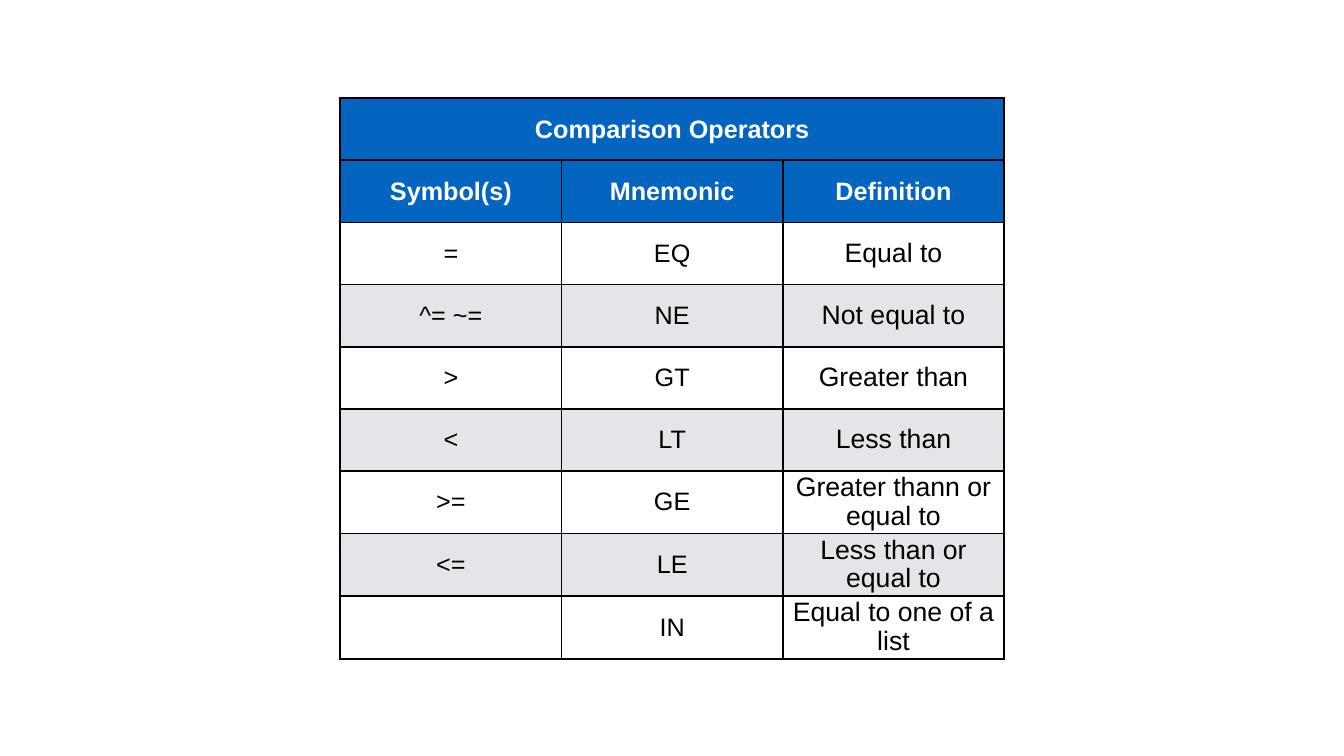
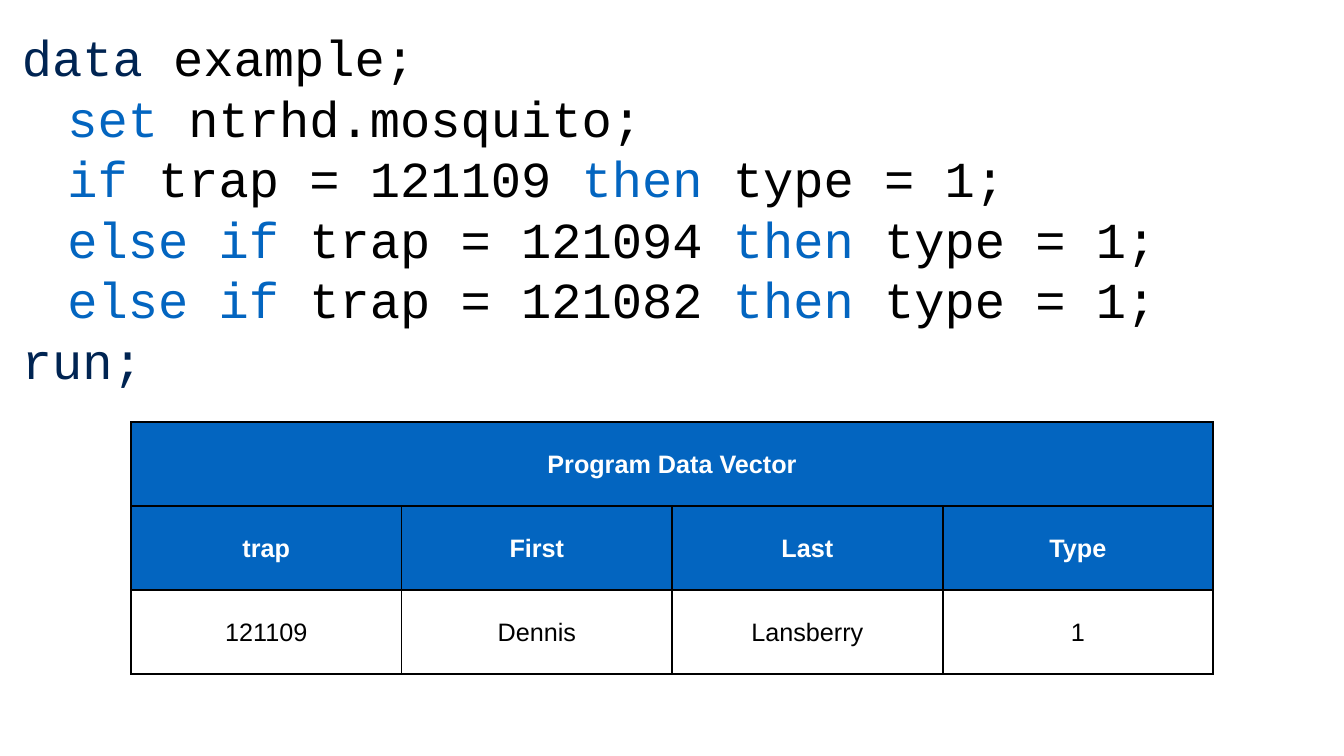
from dataclasses import dataclass

from lxml.etree import SubElement
from pptx import Presentation
from pptx.dml.color import RGBColor
from pptx.enum.text import MSO_ANCHOR, PP_ALIGN
from pptx.oxml.ns import qn
from pptx.util import Pt


# Shared colours, fonts and sizes
@dataclass(frozen=True)
class Theme:
    blue: str = "0365C0"
    navy: str = "002452"
    black: str = "000000"
    white: str = "FFFFFF"
    grey: str = "E3E5E8"
    sans: str = "Arial"
    mono: str = "Courier New"
    cell_size: float = 36
    definition_size: float = 38
    code_size: float = 72
    code_leading: float = 86.4
    code_indent: float = 65
    inset: float = 4
    border: float = 3


class Deck:
    """Holds the style and the current slide."""

    def __init__(self, theme):
        self.theme = theme
        self.prs = Presentation()
        self.prs.slide_width, self.prs.slide_height = Pt(1920), Pt(1080)
        self.s = None

    def slide(self):
        self.s = self.prs.slides.add_slide(self.prs.slide_layouts[6])
        fill = self.s.background.fill
        fill.solid()
        fill.fore_color.rgb = RGBColor.from_string(self.theme.white)

    def font(self, r, name, size, color, bold=False):
        r.font.name, r.font.size, r.font.bold = name, Pt(size), bold
        r.font.color.rgb = RGBColor.from_string(color)

    def code(self, left, top, width, height, lines):
        """Each line is (indent level, [(text, colour), ...])."""
        t = self.theme
        tf = self.s.shapes.add_textbox(Pt(left), Pt(top), Pt(width), Pt(height)).text_frame
        tf.word_wrap = True
        tf.margin_left = tf.margin_right = tf.margin_bottom = Pt(t.inset)
        tf.margin_top = Pt(10)
        for i, (level, parts) in enumerate(lines):
            p = tf.paragraphs[0] if i == 0 else tf.add_paragraph()
            p.line_spacing = Pt(t.code_leading)
            if level:
                pPr = p._p.get_or_add_pPr()
                pPr.set("marL", str(Pt(level * t.code_indent)))
                pPr.set("indent", "0")
            for text, color in parts:
                r = p.add_run()
                r.text = text
                self.font(r, t.mono, t.code_size, color)

    def borders(self, cell):
        tcPr = cell._tc.get_or_add_tcPr()
        for i, side in enumerate(("a:lnL", "a:lnR", "a:lnT", "a:lnB")):
            ln = SubElement(tcPr, qn(side), w=str(Pt(self.theme.border)))
            fill = SubElement(ln, qn("a:solidFill"))
            SubElement(fill, qn("a:srgbClr"), val=self.theme.black)
            tcPr.insert(i, ln)

    def cell(self, cell, text, fill, color, size, bold, spacing):
        t = self.theme
        cell.fill.solid()
        cell.fill.fore_color.rgb = RGBColor.from_string(fill)
        self.borders(cell)
        cell.vertical_anchor = MSO_ANCHOR.MIDDLE
        cell.margin_left = cell.margin_right = Pt(t.inset)
        cell.margin_top = cell.margin_bottom = Pt(t.inset)
        if text:
            cell.text_frame.text = text
            p = cell.text_frame.paragraphs[0]
            p.alignment = PP_ALIGN.CENTER
            p.line_spacing = spacing
            self.font(p.runs[0], t.sans, size, color, bold)

    def table(self, left, top, width, row_height, title, headers, body, large_column=None):
        """A merged title row, a header row and striped body rows."""
        t = self.theme
        n = len(headers)
        rows = [[title] + [""] * (n - 1), headers, *body]
        table = self.s.shapes.add_table(
            len(rows), n, Pt(left), Pt(top), Pt(width), Pt(row_height * len(rows))).table
        table.cell(0, 0).merge(table.cell(0, n - 1))
        for column in table.columns:
            column.width = Pt(width / n)
        for i, row in enumerate(rows):
            table.rows[i].height = Pt(row_height)
            head = i < 2
            fill = t.blue if head else (t.white, t.grey)[i % 2]
            color = t.white if head else t.black
            for j, text in enumerate(row):
                large = not head and j == large_column
                size = t.definition_size if large else t.cell_size
                self.cell(table.cell(i, j), text, fill, color, size, head,
                          0.96 if large else 1.0)


def main():
    theme = Theme()
    deck = Deck(theme)

    # Comparison operators
    deck.slide()
    deck.table(486, 140.4, 948.6, 88.7, "Comparison Operators",
               ["Symbol(s)", "Mnemonic", "Definition"],
               [["=", "EQ", "Equal to"],
                ["^= ~=", "NE", "Not equal to"],
                [">", "GT", "Greater than"],
                ["<", "LT", "Less than"],
                [">=", "GE", "Greater thann or equal to"],
                ["<=", "LE", "Less than or equal to"],
                ["", "IN", "Equal to one of a list"]],
               large_column=2)

    # Conditional code and its program data vector
    deck.slide()

    def condition(keyword, trap):
        return 1, [(keyword, theme.blue), (f" trap = {trap} ", theme.black),
                   ("then", theme.blue), (" type = 1;", theme.black)]

    deck.code(27.4, 28, 1672.6, 499.7, [
        (0, [("data", theme.navy), (" example;", theme.black)]),
        (1, [("set", theme.blue), (" ntrhd.mosquito;", theme.black)]),
        condition("if", 121109),
        condition("else if", 121094),
        condition("else if", 121082),
        (0, [("run;", theme.navy)]),
    ])
    deck.table(187.2, 603.4, 1545.8, 120, "Program Data Vector",
               ["trap", "First", "Last", "Type"],
               [["121109", "Dennis", "Lansberry", "1"]])

    deck.prs.save("out.pptx")


if __name__ == "__main__":
    main()
